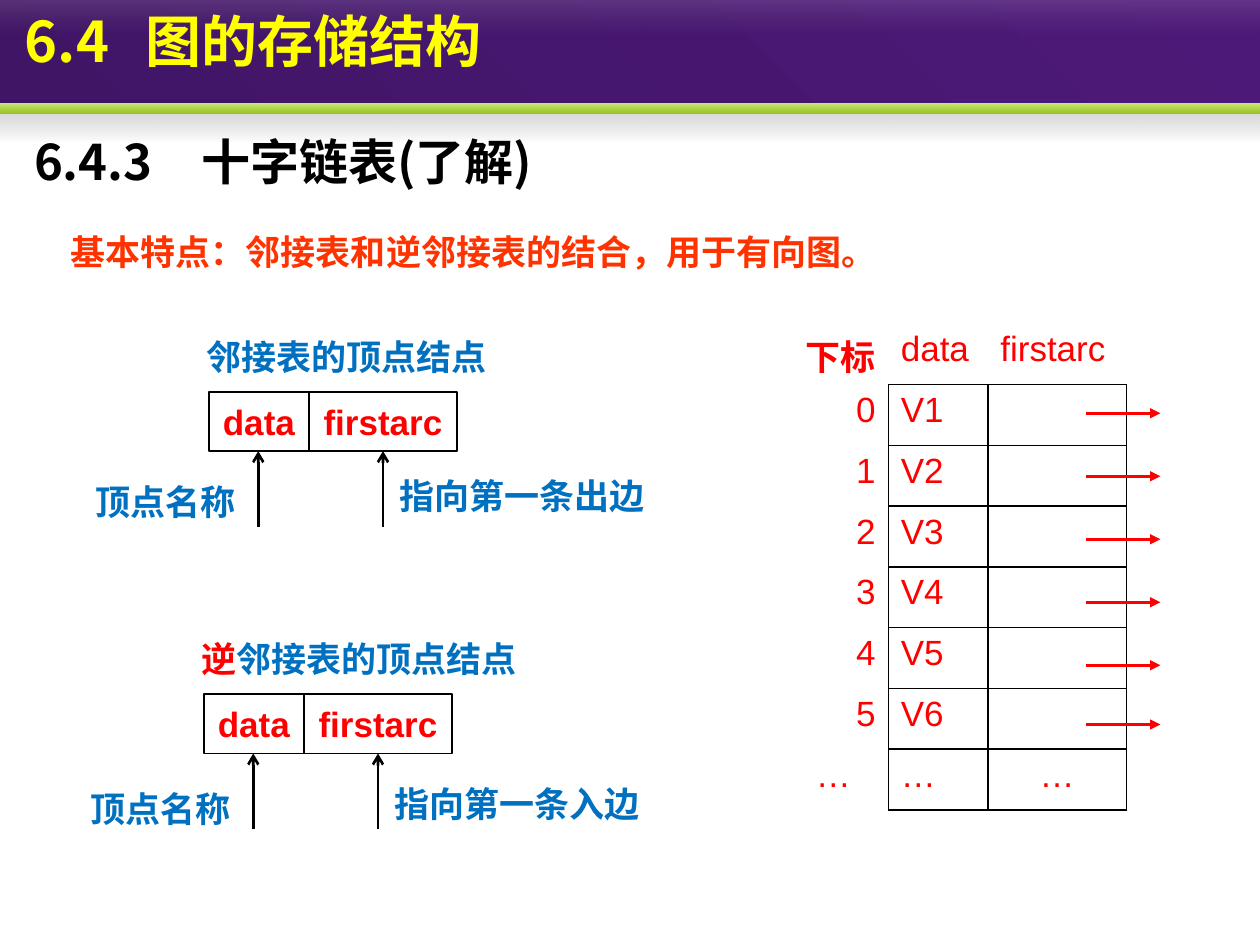
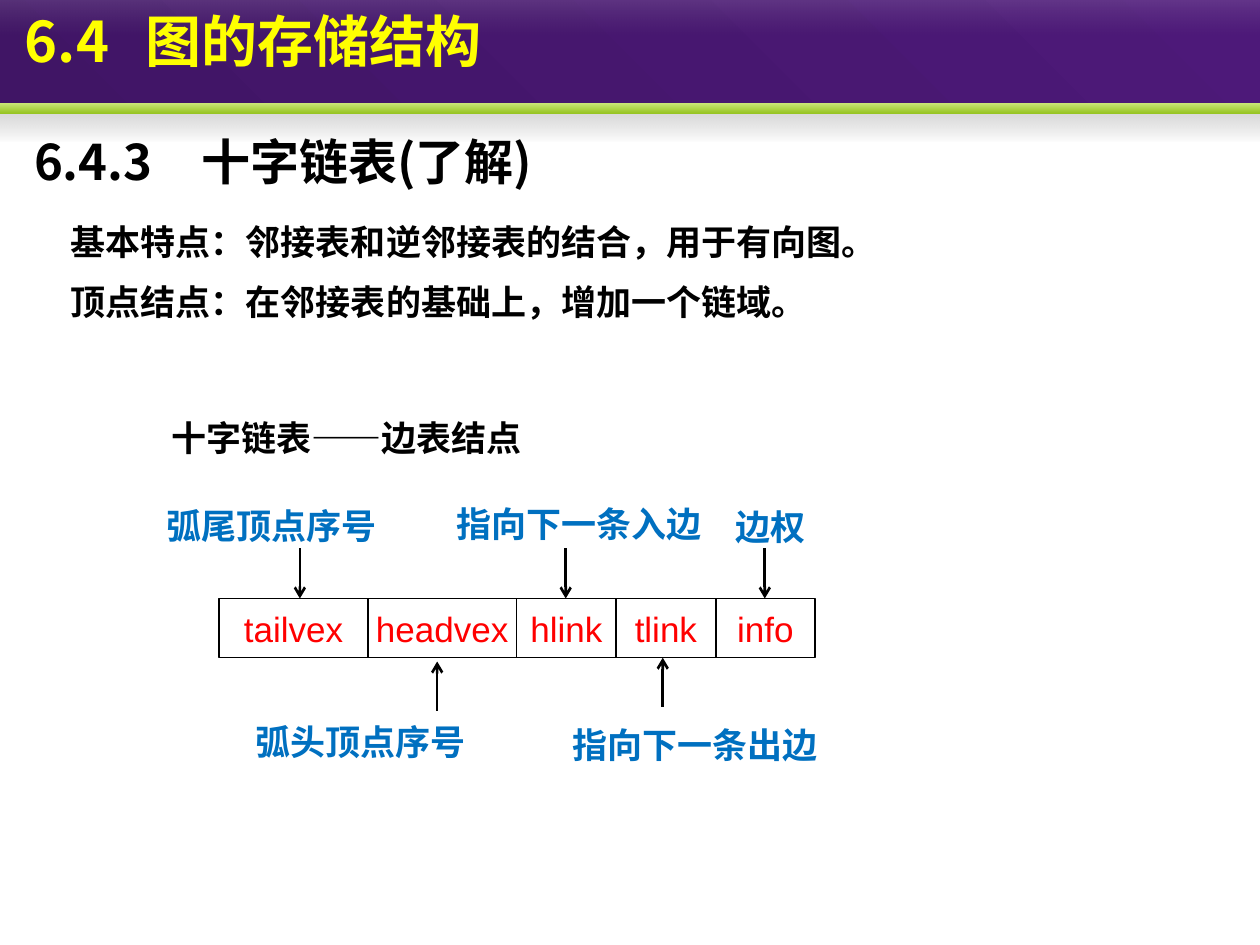
"""Builds two slides on the orthogonal list representation of graphs."""
from dataclasses import dataclass

from lxml.etree import SubElement
from pptx import Presentation
from pptx.dml.color import RGBColor
from pptx.enum.shapes import MSO_CONNECTOR as CONN, MSO_SHAPE as SHAPE
from pptx.enum.text import MSO_ANCHOR as ANCHOR, MSO_AUTO_SIZE as AUTO, PP_ALIGN as ALIGN
from pptx.oxml.ns import qn
from pptx.util import Inches, Pt


@dataclass(frozen=True)
class Theme:
    cjk: str = "Noto Sans CJK SC"
    latin: str = "Arial"
    black: str = "000000"
    red: str = "FF0000"
    orange: str = "FF3300"
    blue: str = "0070C0"
    yellow: str = "FFFF00"
    chapter: int = 32
    title: int = 28
    text: int = 20
    box_height: float = 0.47
    narrow: float = 0.79
    wide: float = 1.18
    bands: tuple = (
        (0, 0.9, 315, (("401565", 100), ("4D1979", 100))),
        (0.88, 0.24, 90, (("808080", 33), ("5C5C5C", 0))),
        (0.82, 0.08, 90, (("C9E576", 100), ("97C523", 100))),
        (0, 0.28, 90, (("FFFFFF", 13), ("B6B6B6", 0))),
    )


class Deck:
    def __init__(self, theme):
        self.t = theme
        self.prs = Presentation()
        self.prs.slide_width, self.prs.slide_height = Inches(10), Inches(7.5)
        self.s = None

    def slide(self, chapter, title, points, top, color):
        self.s = self.prs.slides.add_slide(self.prs.slide_layouts[1])
        for band in self.t.bands:
            self.band(*band)
        p = self.label(0.1, 0, 9.9, chapter, self.t.yellow, height=0.9,
                       size=self.t.chapter, inset=None, anchor=ANCHOR.TOP,
                       spacing=None, auto=AUTO.NONE)
        tabs = SubElement(p._p.get_or_add_pPr(), qn("a:tabLst"))
        SubElement(tabs, qn("a:tab"), pos=str(Inches(0.96)), algn="l")

        head, body = self.s.placeholders
        self.place(head, 0.17, 1, 7.57, 0.56)
        self.frame(head.text_frame, vertical_anchor=ANCHOR.MIDDLE, auto_size=AUTO.NONE)
        p = head.text_frame.paragraphs[0]
        p.alignment = ALIGN.LEFT
        self.run(p, title, self.t.black, self.t.title)

        self.place(body, 0.46, top, 7.32, 0.44 + 0.54 * (len(points) - 1))
        tf = body.text_frame
        self.frame(tf, auto_size=AUTO.SHAPE_TO_FIT_TEXT)
        for i, point in enumerate(points):
            p = tf.add_paragraph() if i else tf.paragraphs[0]
            pPr = p._p.get_or_add_pPr()
            pPr.set("marL", "0")
            pPr.set("indent", "0")
            SubElement(pPr, qn("a:buNone"))
            p.space_before = Pt(10 if i else 0)
            self.run(p, point, color)

    def place(self, sp, *box):
        for name, value in zip(("left", "top", "width", "height"), box):
            setattr(sp, name, Inches(value))

    def frame(self, tf, inset=None, **values):
        if inset is not None:
            sides = ("left", "top", "right", "bottom")
            values.update({f"margin_{side}": Inches(inset) for side in sides})
        for name, value in {"word_wrap": True, **values}.items():
            setattr(tf, name, value)

    def run(self, p, text, color, size=None, name=None, bold=True):
        r = p.add_run()
        r.text = text
        values = {"size": Pt(size or self.t.text), "name": name or self.t.cjk, "bold": bold}
        for key, value in values.items():
            setattr(r.font, key, value)
        r.font.color.rgb = RGBColor.from_string(color)
        SubElement(r._r.get_or_add_rPr(), qn("a:ea"), typeface=self.t.cjk)

    def band(self, top, height, angle, stops):
        sp = self.s.shapes.add_shape(SHAPE.RECTANGLE, 0, Inches(top), Inches(10), Inches(height))
        sp.shadow.inherit = False
        sp.line.fill.background()
        sp.fill.gradient()
        sp.fill.gradient_angle = 360 - angle
        for stop, position, (color, opacity) in zip(sp.fill.gradient_stops, (0, 1), stops):
            stop.position = position
            stop.color.rgb = RGBColor.from_string(color)
            SubElement(stop._gs[0], qn("a:alpha"), val=str(opacity * 1000))

    def label(self, x, y, width, text, color=None, height=0.43, size=None, inset=0,
              anchor=ANCHOR.MIDDLE, spacing=1.5, auto=AUTO.SHAPE_TO_FIT_TEXT, lead=""):
        sp = self.s.shapes.add_textbox(*map(Inches, (x, y, width, height)))
        self.frame(sp.text_frame, inset, vertical_anchor=anchor, auto_size=auto)
        p = sp.text_frame.paragraphs[0]
        p.line_spacing = spacing
        if lead:
            self.run(p, lead, self.t.red)
        self.run(p, text, color or self.t.blue, size)
        return p

    def record(self, x, y, fields, bold):
        for text, width in fields:
            box = map(Inches, (x, y, width, self.t.box_height))
            sp = self.s.shapes.add_shape(SHAPE.RECTANGLE, *box)
            sp.shadow.inherit = False
            sp.fill.background()
            sp.line.color.rgb = RGBColor.from_string(self.t.black)
            sp.line.width = Pt(1)
            self.frame(sp.text_frame, 0, word_wrap=False, vertical_anchor=ANCHOR.MIDDLE)
            p = sp.text_frame.paragraphs[0]
            p.alignment = ALIGN.CENTER
            self.run(p, text, self.t.red, name=self.t.latin, bold=bold)
            x += width

    def arrow(self, x1, y1, x2, y2, color=None, head="arrow"):
        ends = map(Inches, (x1, y1, x2, y2))
        line = self.s.shapes.add_connector(CONN.STRAIGHT, *ends)
        line.line.color.rgb = RGBColor.from_string(color or self.t.black)
        line.line.width = Pt(1.5)
        SubElement(line.line._get_or_add_ln(), qn("a:tailEnd"), type=head)
        SubElement(line._element.spPr, qn("a:effectLst"))

    def table(self, x, y, widths, row_height, rows):
        box = map(Inches, (x, y, sum(widths), row_height * len(rows)))
        tbl = self.s.shapes.add_table(len(rows), len(widths), *box).table
        tbl.first_row = tbl.horz_banding = False
        for column, width in zip(tbl.columns, widths):
            column.width = Inches(width)
        for i, row in enumerate(rows):
            for j, text in enumerate(row):
                cell = tbl.cell(i, j)
                if i and j:
                    self.borders(cell, "LRTB")
                elif i or j:
                    self.borders(cell, "R" if i else "B")
                cell.fill.background()
                p = cell.text_frame.paragraphs[0]
                if text == "…" and j != 1:
                    p.alignment = ALIGN.CENTER
                elif j == 0:
                    p.alignment = ALIGN.RIGHT
                if text:
                    self.run(p, text, self.t.red, name=self.t.latin, bold=i + j == 0)

    def borders(self, cell, sides):
        for side in sides:
            ln = SubElement(cell._tc.get_or_add_tcPr(), qn(f"a:ln{side}"), w=str(Pt(1)))
            fill = SubElement(ln, qn("a:solidFill"))
            SubElement(fill, qn("a:srgbClr"), val=self.t.black)

    def vertex_node(self, x, y, label_y, target, lead=""):
        t = self.t
        self.record(x, y, (("data", t.narrow), ("firstarc", t.wide)), bold=True)
        self.label(x - 0.02, y - 0.58, 2.67, "邻接表的顶点结点", lead=lead)
        self.label(x + 1.51, label_y, 2.05, target, height=0.5)
        self.label(x - 0.9, label_y + 0.08, 1.19, "顶点名称")
        for dx in (0.39, 1.38):
            self.arrow(x + dx, y + 1.07, x + dx, y + t.box_height)


def main():
    t = Theme()
    d = Deck(t)
    chapter, title = "6.4\t图的存储结构", "6.4.3　十字链表(了解)"
    feature = "基本特点：邻接表和逆邻接表的结合，用于有向图。"

    d.slide(chapter, title, [feature], 1.78, t.orange)
    d.vertex_node(1.66, 3.11, 3.6, "指向第一条出边")
    vertices = [(str(i), f"V{i + 1}", "") for i in range(6)]
    rows = [("下标", "data", "firstarc"), *vertices, ("…", "…", "…")]
    d.table(6.18, 2.57, (0.87, 0.79, 1.1), 3.86 / 8, rows)
    for y in (3.28, 3.78, 4.28, 4.78, 5.28, 5.75):
        d.arrow(8.62, y, 9.21, y, t.red, "triangle")
    d.vertex_node(1.62, 5.51, 6.04, "指向第一条入边", lead="逆")

    d.slide(chapter, title, [feature, "顶点结点：在邻接表的基础上，增加一个链域。"], 1.7, t.black)
    d.label(1.26, 3.09, 3.11, "十字链表——边表结点", t.black, height=0.61,
            inset=None, anchor=ANCHOR.TOP)
    fields = (("tailvex", t.wide), ("headvex", t.wide), ("hlink", t.narrow),
              ("tlink", t.narrow), ("info", t.narrow))
    d.record(1.74, 4.75, fields, bold=False)
    for x, y, width, text in (
        (1.32, 3.87, 1.77, "弧尾顶点序号"),
        (3.62, 3.86, 2.01, "指向下一条入边"),
        (5.84, 3.88, 0.71, "边权"),
        (2.03, 5.59, 1.77, "弧头顶点序号"),
        (4.54, 5.61, 2.11, "指向下一条出边"),
    ):
        d.label(x, y, width, text)
    for x in (2.38, 4.49, 6.07):
        d.arrow(x, 4.35, x, 4.75)
    for x, y in ((3.47, 5.64), (5.26, 5.61)):
        d.arrow(x, y, x, y - 0.39)
    d.prs.save("out.pptx")


if __name__ == "__main__":
    main()
